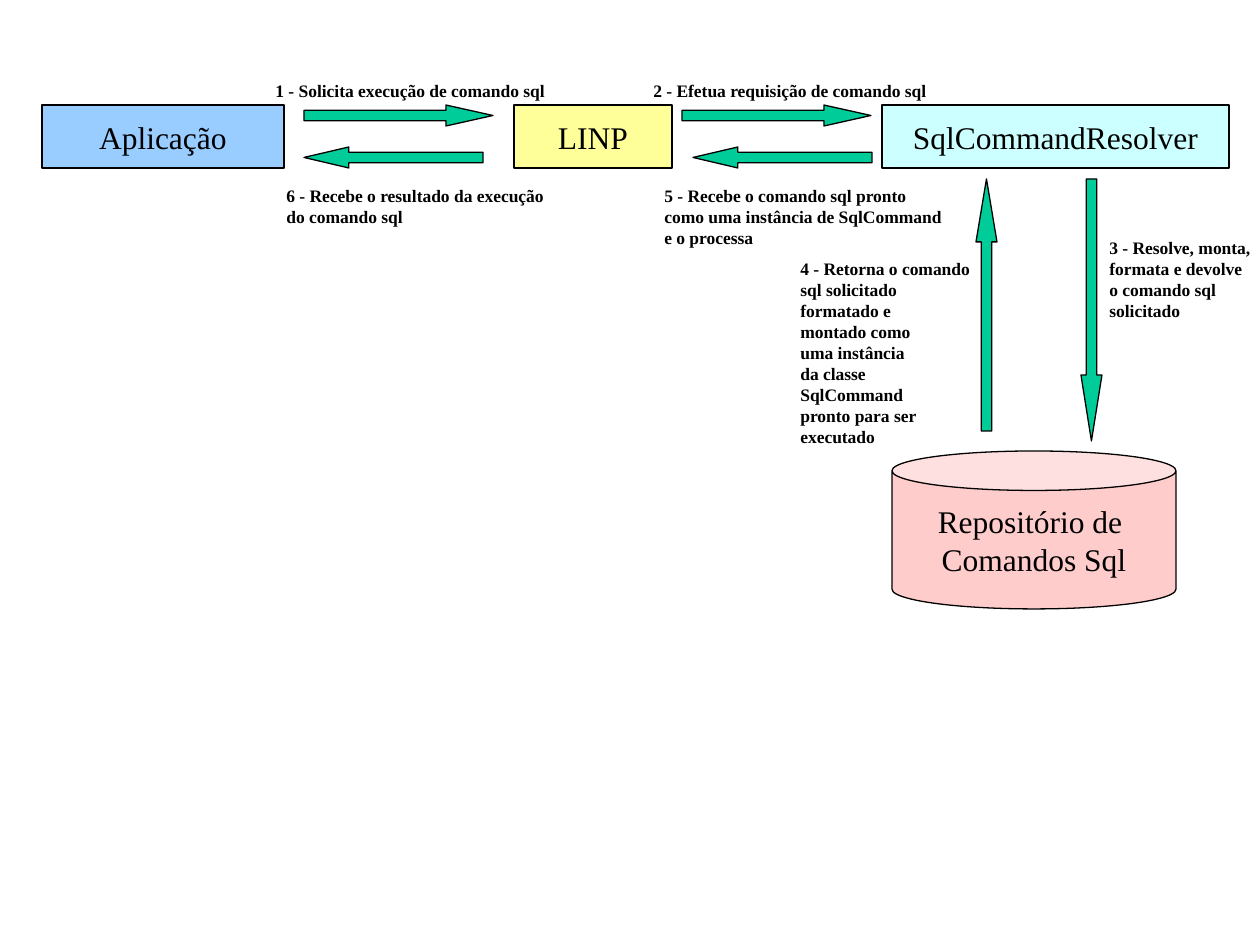
import pptx
import pptx.dml.color
import pptx.enum.shapes
import pptx.enum.text
import pptx.util

SHAPE = pptx.enum.shapes.MSO_SHAPE
PIXEL = 914400 // 126
FONT = "Times New Roman"
BLACK = "000000"
LINE_HEIGHT = 21
NOTE_PADDING = 13


def color(value):
    """Turn a hex string into a colour."""
    return pptx.dml.color.RGBColor.from_string(value)


def lengths(*pixels):
    """Turn pixels into EMU."""
    return [pptx.util.Emu(pixel * PIXEL) for pixel in pixels]


def write(shape, lines, size, bold, alignment, anchor):
    """Write one paragraph per line, all in the same format."""
    frame = shape.text_frame
    frame.word_wrap = False
    frame.vertical_anchor = anchor
    frame.text = "\n".join(lines)
    for paragraph in frame.paragraphs:
        paragraph.alignment = alignment
        paragraph.font.name = FONT
        paragraph.font.size = pptx.util.Pt(size)
        paragraph.font.bold = bold
        paragraph.font.color.rgb = color(BLACK)


def add_outlined(slide, kind, box, fill):
    """Add a filled preset shape with a thin black outline."""
    shape = slide.shapes.add_shape(kind, *lengths(*box))
    shape.shadow.inherit = False
    shape.fill.solid()
    shape.fill.fore_color.rgb = color(fill)
    shape.line.color.rgb = color(BLACK)
    shape.line.width = pptx.util.Pt(0.74)
    return shape


def add_component(slide, kind, box, fill, lines):
    """Add a component of the architecture with its centred name."""
    shape = add_outlined(slide, kind, box, fill)
    write(shape, lines, 18, False, pptx.enum.text.PP_ALIGN.CENTER,
          pptx.enum.text.MSO_ANCHOR.MIDDLE)


def add_arrow(slide, kind, box, head):
    """Add a block arrow whose head has the given length."""
    arrow = add_outlined(slide, kind, box, "00CC99")
    arrow.adjustments[0] = 0.5
    arrow.adjustments[1] = round(head / min(box[2:]), 2)


def add_note(slide, left, top, width, lines):
    """Add the bold description of a step, as tall as its lines."""
    height = LINE_HEIGHT * len(lines) + NOTE_PADDING
    note = slide.shapes.add_textbox(*lengths(left, top, width, height))
    write(note, lines, 10, True, pptx.enum.text.PP_ALIGN.LEFT,
          pptx.enum.text.MSO_ANCHOR.TOP)
    note.text_frame.auto_size = pptx.enum.text.MSO_AUTO_SIZE.SHAPE_TO_FIT_TEXT


def add_exchange(slide, box, reply_indent, request, reply):
    """Add a request arrow above a reply arrow, with their notes."""
    left, top, width, height = box
    thickness = height // 3
    add_arrow(slide, SHAPE.RIGHT_ARROW, (left, top, width, thickness), 47)
    add_arrow(slide, SHAPE.LEFT_ARROW,
              (left + reply_indent, top + 2 * thickness, width - 10, thickness), 45)
    add_note(slide, left - 41, top - 31, *request)
    add_note(slide, left - 30, top + height + 11, *reply)


def add_lookup(slide, box):
    """Add the two vertical arrows to and from the repository."""
    left, top, width, height = box
    thickness = 21
    right = left + width - thickness
    add_arrow(slide, SHAPE.UP_ARROW, (left, top, thickness, height - 10), 63)
    add_arrow(slide, SHAPE.DOWN_ARROW, (right, top, thickness, height), 66)
    add_note(slide, right + 16, top + 52, 170, [
        "3 - Resolve, monta, ", "formata e devolve ", "o comando sql ", "solicitado"])
    add_note(slide, left - 188, top + 73, 199, [
        "4 - Retorna o comando ", "sql solicitado ", "formatado e ",
        "montado como ", "uma instância ", "da classe ", "SqlCommand",
        "pronto para ser ", "executado"])


def build_diagram(slide, box):
    """Place the components and the exchanges between them."""
    left, top, width, height = box
    row_height = 63
    for offset, component_width, fill, name in [
            (0, 242, "99CCFF", "Aplicação"),
            (472, 158, "FFFF99", "LINP"),
            (width - 347, 347, "CCFFFF", "SqlCommandResolver")]:
        add_component(slide, SHAPE.RECTANGLE,
                      (left + offset, top, component_width, row_height), fill, [name])
    add_component(slide, SHAPE.CAN, (left + 850, top + height - 158, 284, 158),
                  "FFCCCC", ["Repositório de ", "Comandos Sql"])
    add_exchange(slide, (left + 262, top, 189, row_height), 0,
                 (296, ["1 - Solicita execução de comando sql"]),
                 (287, ["6 - Recebe o resultado da execução ", "do comando sql"]))
    add_exchange(slide, (left + 640, top, 189, row_height), 11,
                 (300, ["2 - Efetua requisição de comando sql"]),
                 (306, ["5 - Recebe o comando sql pronto ",
                        "como uma instância de SqlCommand ", "e o processa"]))
    add_lookup(slide, (left + 934, top + 74, 126, 262))


presentation = pptx.Presentation()
presentation.slide_width, presentation.slide_height = lengths(1260, 945)
slide = presentation.slides.add_slide(presentation.slide_layouts[6])
build_diagram(slide, (42, 105, 1187, 504))
presentation.save("out.pptx")
